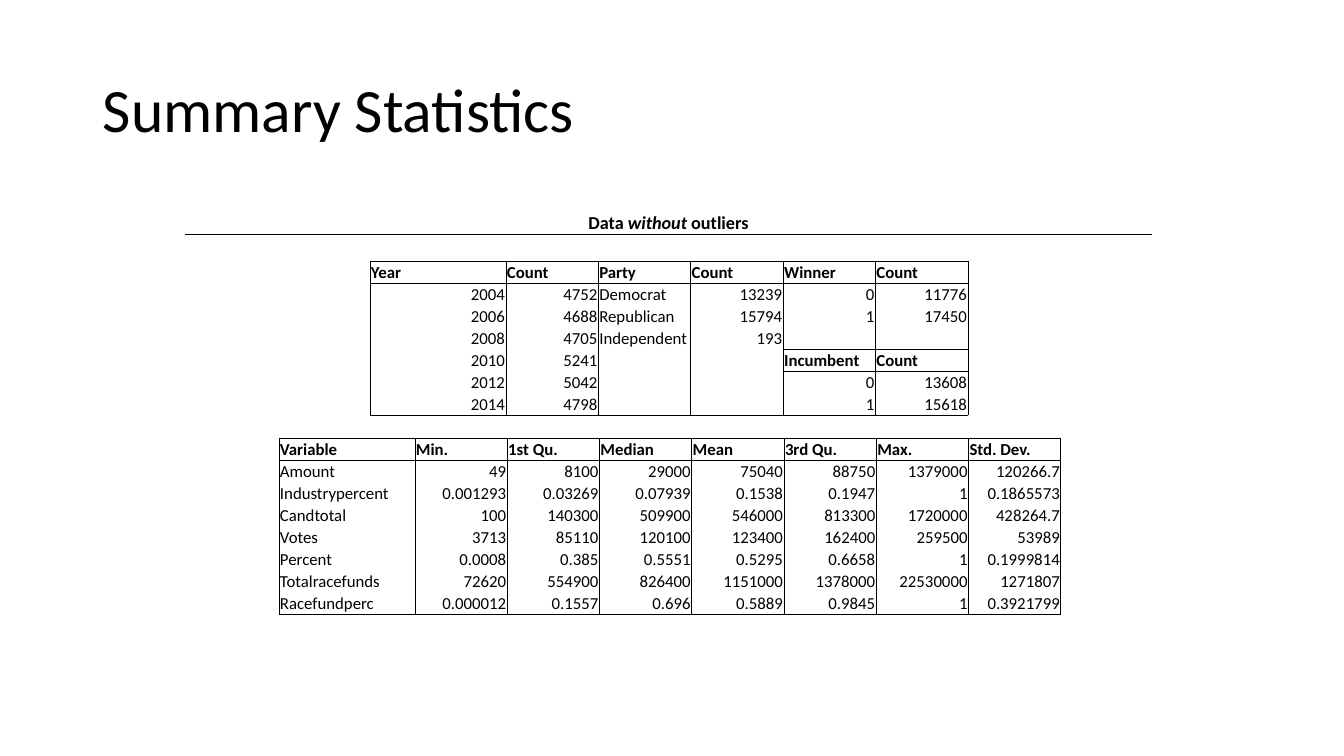
from dataclasses import dataclass
from typing import Any

from lxml import etree
from pptx import Presentation
from pptx.dml.color import RGBColor
from pptx.enum.text import MSO_ANCHOR, PP_ALIGN
from pptx.oxml.ns import qn
from pptx.util import Pt

LEFT, MID, RIGHT = PP_ALIGN.LEFT, PP_ALIGN.CENTER, PP_ALIGN.RIGHT
CENTER, BASE = MSO_ANCHOR.MIDDLE, MSO_ANCHOR.BOTTOM
PIXEL = 914400 / 100.8
RULE = Pt(0.5)
COLORS = {"ink": "000000"}
FACE = "Calibri"
PLAIN = {"first_row": False, "horz_banding": False}
PAD = {"margin_left": 1, "margin_top": 1, "margin_right": 1, "margin_bottom": 0}


@dataclass
class Grid:
    """A table; '*' starts a heading and '|' switches italics on and off."""
    left: int
    top: int
    width: int
    first: int
    height: int
    size: int
    rows: list[list[str]]
    boxed: bool = True


def emu(px: float) -> int:
    """Turn pixels into EMU."""
    return round(px * PIXEL)


def style(item: Any, values: dict[str, Any]) -> None:
    """Set each named attribute of an item."""
    for name, value in values.items():
        setattr(item, name, value)


def write(para: Any, text: str, size: int, bold: bool = False) -> None:
    """Fill a paragraph, with every second part in italics."""
    for place, part in enumerate(text.split("|")):
        run = para.add_run()
        run.text = part
        style(run.font, {"name": FACE, "size": Pt(size), "bold": bold,
                         "italic": place % 2 == 1})
        run.font.color.rgb = RGBColor.from_string(COLORS["ink"])


def edges(grid: Grid, row: int, col: int) -> str:
    """Name the ruled sides of a cell."""
    if not grid.boxed:
        return "B"

    def head(line: int) -> bool:
        """Tell whether the cell on this line starts a block."""
        return grid.rows[line][col].startswith("*")

    last = len(grid.rows) - 1
    sides = "LR"
    if row == 0 or head(row) or head(row - 1):
        sides += "T"
    if row == last or head(row) or head(row + 1):
        sides += "B"
    return sides


def border(cell: Any, sides: str) -> None:
    """Rule the given sides of a cell and clear the others."""
    props = cell._tc.get_or_add_tcPr()
    for place, side in enumerate("LRTB"):
        line = etree.Element(qn(f"a:ln{side}"), w=str(RULE))
        if side in sides:
            fill = etree.SubElement(line, qn("a:solidFill"))
            etree.SubElement(fill, qn("a:srgbClr"), val=COLORS["ink"])
        else:
            etree.SubElement(line, qn("a:noFill"))
        props.insert(place, line)


def align(text: str, boxed: bool) -> Any:
    """Put numbers right, words left and a caption in the middle."""
    if not boxed:
        return MID
    return RIGHT if text.replace(".", "").isdigit() else LEFT


def draw(slide: Any, grid: Grid) -> None:
    """Add a table; the columns after the first share the rest equally."""
    count = len(grid.rows[0])
    frame = slide.shapes.add_table(
        len(grid.rows), count, emu(grid.left), emu(grid.top),
        emu(grid.width), emu(grid.height * len(grid.rows)))
    table = frame.table
    style(table, PLAIN)
    for place, column in enumerate(table.columns):
        rest = (grid.width - grid.first) / max(count - 1, 1)
        column.width = emu(rest if place else grid.first)
    for row, texts in enumerate(grid.rows):
        table.rows[row].height = emu(grid.height)
        for col, text in enumerate(texts):
            cell = table.cell(row, col)
            style(cell, {name: emu(px) for name, px in PAD.items()})
            cell.vertical_anchor = BASE
            cell.fill.background()
            border(cell, edges(grid, row, col))
            para = cell.text_frame.paragraphs[0]
            para.alignment = align(text, grid.boxed)
            if text:
                write(para, text.lstrip("*"), grid.size, text.startswith("*"))
            else:
                tail = etree.SubElement(para._p, qn("a:endParaRPr"))
                tail.set("sz", str(grid.size * 100))


def title(slide: Any, text: str) -> None:
    """Add the slide title."""
    box = slide.shapes.add_textbox(emu(93), emu(40), emu(1159), emu(146))
    style(box.text_frame, {"word_wrap": True, "vertical_anchor": CENTER})
    para = box.text_frame.paragraphs[0]
    para.line_spacing = 0.9
    write(para, text, 44)


COUNTS = [
    ["*Year", "*Count", "*Party", "*Count", "*Winner", "*Count"],
    ["2004", "4752", "Democrat", "13239", "0", "11776"],
    ["2006", "4688", "Republican", "15794", "1", "17450"],
    ["2008", "4705", "Independent", "193", "", ""],
    ["2010", "5241", "", "", "*Incumbent", "*Count"],
    ["2012", "5042", "", "", "0", "13608"],
    ["2014", "4798", "", "", "1", "15618"],
]
STATS = [
    ["*Variable", "*Min.", "*1st Qu.", "*Median", "*Mean", "*3rd Qu.", "*Max.",
     "*Std. Dev."],
    ["Amount", "49", "8100", "29000", "75040", "88750", "1379000", "120266.7"],
    ["Industrypercent", "0.001293", "0.03269", "0.07939", "0.1538", "0.1947",
     "1", "0.1865573"],
    ["Candtotal", "100", "140300", "509900", "546000", "813300", "1720000",
     "428264.7"],
    ["Votes", "3713", "85110", "120100", "123400", "162400", "259500", "53989"],
    ["Percent", "0.0008", "0.385", "0.5551", "0.5295", "0.6658", "1",
     "0.1999814"],
    ["Totalracefunds", "72620", "554900", "826400", "1151000", "1378000",
     "22530000", "1271807"],
    ["Racefundperc", "0.000012", "0.1557", "0.696", "0.5889", "0.9845", "1",
     "0.3921799"],
]
GRIDS = [
    Grid(370, 261, 598, 136, 22, 12, COUNTS),
    Grid(279, 438, 782, 136, 22, 12, STATS),
    Grid(185, 210, 967, 967, 24, 13, [["*Data |without |outliers"]], False),
]

deck = Presentation()
style(deck, {"slide_width": emu(1344), "slide_height": emu(756)})
page = deck.slides.add_slide(deck.slide_layouts[6])
title(page, "Summary Statistics")
for item in GRIDS:
    draw(page, item)
deck.save("out.pptx")
